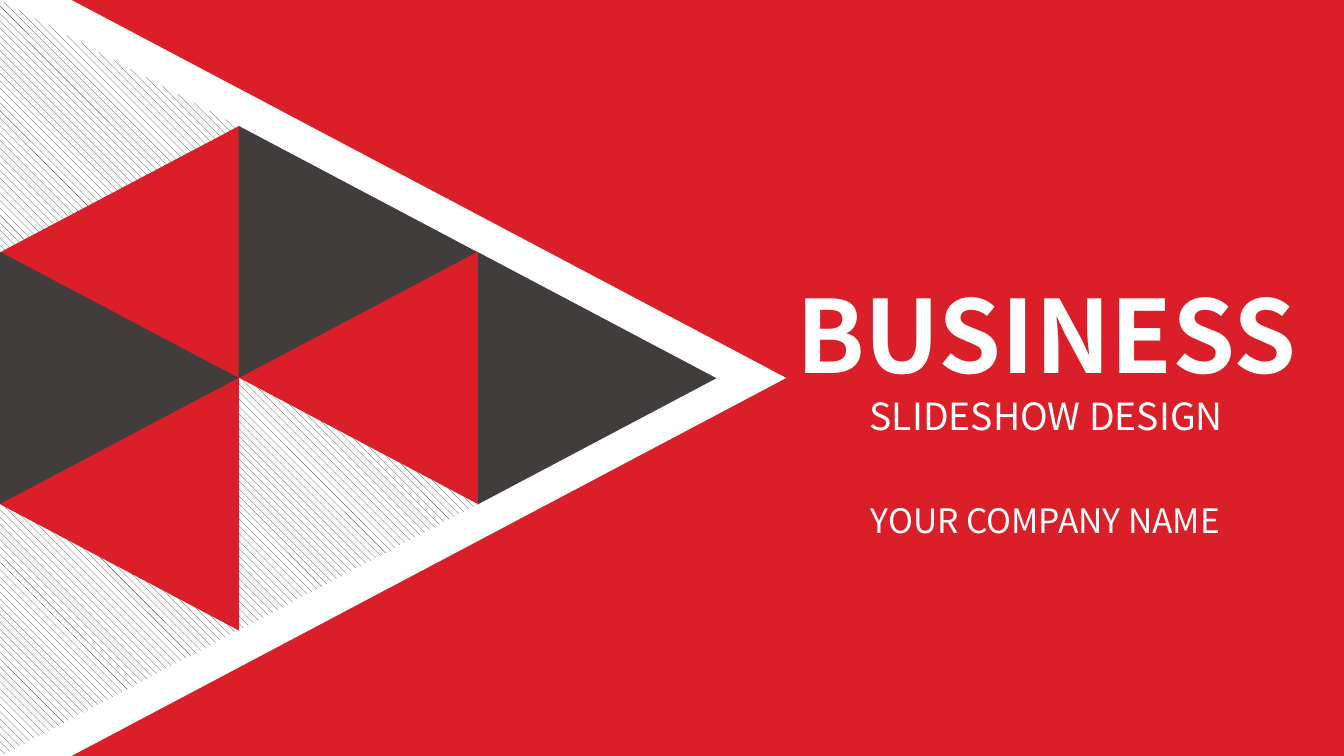
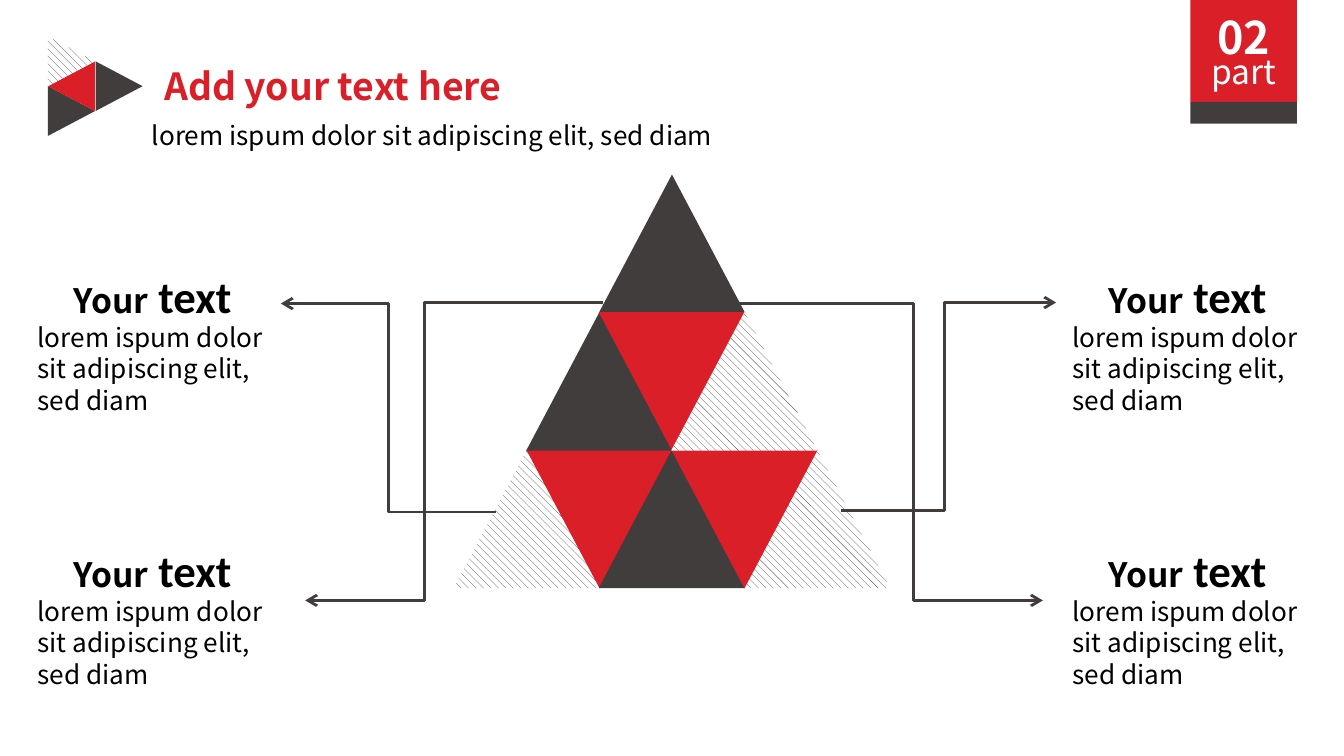
from lxml.etree import SubElement
from pptx import Presentation
from pptx.dml.color import RGBColor
from pptx.enum.dml import MSO_PATTERN
from pptx.enum.shapes import MSO_CONNECTOR, MSO_SHAPE
from pptx.enum.text import MSO_AUTO_SIZE, PP_ALIGN
from pptx.oxml.ns import qn
from pptx.util import Cm, Pt

RED = RGBColor(0xDA, 0x1F, 0x28)
DARK = RGBColor(0x40, 0x3D, 0x3C)
WHITE = RGBColor(0xFF, 0xFF, 0xFF)
BLACK = RGBColor(0x00, 0x00, 0x00)
HATCH = "hatch"

WIDTH, HEIGHT = 25.4, 14.29
UP, RIGHT, DOWN, LEFT = 0, 90, 180, 270
FONT = "Noto Sans CJK SC"
LOREM = "lorem ispum dolor sit adipiscing elit, sed diam"


def text_format(size, bold=False, name=FONT):
    """Return the font values of one run."""
    return {"size": Pt(size), "bold": bold, "name": name}


def add_slide(prs, color):
    """Add a blank slide with a plain background."""
    slide = prs.slides.add_slide(prs.slide_layouts[6])
    slide.background.fill.solid()
    slide.background.fill.fore_color.rgb = color
    return slide


def paint(shape, color):
    """Fill a shape with a colour or the hatching, without outline or shadow."""
    shape.shadow.inherit = False
    shape.line.fill.background()
    if color == HATCH:
        shape.fill.patterned()
        shape.fill.pattern = MSO_PATTERN.WIDE_DOWNWARD_DIAGONAL
        shape.fill.fore_color.rgb = DARK
        shape.fill.back_color.rgb = WHITE
    else:
        shape.fill.solid()
        shape.fill.fore_color.rgb = color


def add_block(shapes, kind, box, color):
    """Add a filled preset shape."""
    block = shapes.add_shape(kind, *map(Cm, box))
    paint(block, color)
    return block


def add_mosaic(shapes, origin, step, size, tiles):
    """Lay triangles on a grid of centres, each pointing its own way."""
    base, height = size
    for column, row, direction, color in tiles:
        left = origin[0] + column * step[0] - base / 2
        top = origin[1] + row * step[1] - height / 2
        tile = add_block(shapes, MSO_SHAPE.ISOSCELES_TRIANGLE,
                         (left, top, base, height), color)
        tile.rotation = direction


def add_text(shapes, box, paragraphs, color, align=PP_ALIGN.CENTER):
    """Add a wrapping text box from paragraphs of (text, format) runs."""
    frame = shapes.add_textbox(*map(Cm, box)).text_frame
    frame.word_wrap = True
    frame.auto_size = MSO_AUTO_SIZE.SHAPE_TO_FIT_TEXT
    for index, runs in enumerate(paragraphs):
        paragraph = frame.add_paragraph() if index else frame.paragraphs[0]
        paragraph.alignment = align
        for text, values in runs:
            run = paragraph.add_run()
            run.text = text
            run.font.color.rgb = color
            for attribute, value in values.items():
                setattr(run.font, attribute, value)


def add_arrow(shapes, start, end, bend):
    """Add an elbow arrow that turns at the given share of its width."""
    arrow = shapes.add_connector(MSO_CONNECTOR.ELBOW, *map(Cm, start + end))
    arrow.line.color.rgb = DARK
    arrow.line.width = Pt(1.5)
    properties = arrow.element.find(qn("p:spPr"))
    SubElement(properties.find(qn("a:ln")), qn("a:tailEnd"), type="arrow")
    adjustments = properties.find(qn("a:prstGeom")).find(qn("a:avLst"))
    SubElement(adjustments, qn("a:gd"), name="adj1",
               fmla=f"val {round(bend * 100000)}")
    SubElement(properties, qn("a:effectLst"))


def add_wedge(shapes):
    """Add the white wedge that points to the cover title."""
    tip, shoulder = 14.86, 1.35
    corners = [(shoulder, 0), (tip, HEIGHT / 2), (shoulder, HEIGHT), (0, HEIGHT)]
    outline = shapes.build_freeform(0, 0)
    outline.add_line_segments([(Cm(x), Cm(y)) for x, y in corners])
    paint(outline.convert_to_shape(), WHITE)


def add_badge(shapes, number):
    """Add the part number badge at the top right."""
    left, width = 22.5, 2.01
    add_block(shapes, MSO_SHAPE.RECTANGLE, (left, 0, width, 1.93), RED)
    add_block(shapes, MSO_SHAPE.RECTANGLE, (left, 1.93, width, 0.41), DARK)
    add_text(shapes, (left, 0.05, width, 1.27),
             [[(number, text_format(24, True))]], WHITE)
    add_text(shapes, (left, 0.84, width, 1.02),
             [[("part", text_format(18))]], WHITE)


def add_heading(shapes, title, subtitle):
    """Add the emblem, the slide title and the line below it."""
    emblem = [(0, 2, RIGHT, DARK), (1, 1, RIGHT, DARK),
              (0, 1, LEFT, RED), (0, 0, RIGHT, HATCH)]
    add_mosaic(shapes.add_group_shape().shapes, (1.35, 1.16), (0.9, 0.47),
               (0.94, 0.89), emblem)
    add_text(shapes, (2.24, 1.07, 8.1, 1.12),
             [[(title, text_format(20, True))]], RED)
    add_text(shapes, (2.62, 2.13, 12.07, 0.86),
             [[(subtitle, text_format(14))]], BLACK, PP_ALIGN.LEFT)


def add_callout(shapes, left, top):
    """Add a two-size caption with its body text."""
    caption = [("Your", text_format(18, True)),
               (" text", text_format(24, True, "Calibri"))]
    add_text(shapes, (left, top, 3.99, 1.27), [caption], BLACK)
    add_text(shapes, (left - 0.43, top + 1, 4.85, 2.64),
             [[(LOREM, text_format(14))]], BLACK, PP_ALIGN.LEFT)


def build_cover(prs):
    """Build the cover slide."""
    shapes = add_slide(prs, RED).shapes
    add_wedge(shapes)
    tiles = [(0, 0, RIGHT, HATCH), (0, 1, LEFT, RED), (0, 2, RIGHT, DARK),
             (1, 1, RIGHT, DARK), (0, 4, RIGHT, HATCH), (2, 2, RIGHT, DARK),
             (0, 3, LEFT, RED), (1, 2, LEFT, RED), (1, 3, RIGHT, HATCH)]
    add_mosaic(shapes, (2.26, 2.39), (4.51, 2.38), (4.78, 4.52), tiles)
    add_text(shapes, (13.44, 5.03, 12.67, 3.43),
             [[("BUSINESS", text_format(54, True))],
              [("SLIDESHOW DESIGN", text_format(20))]], WHITE)
    add_text(shapes, (15.44, 9.32, 8.64, 1.02),
             [[("YOUR COMPANY NAME", text_format(18))]], WHITE)


def build_pyramid(prs):
    """Build the slide with the pyramid and its four callouts."""
    shapes = add_slide(prs, WHITE).shapes
    tiles = [(-2, 2, UP, HATCH), (-1, 2, DOWN, RED), (0, 2, UP, DARK),
             (-1, 1, UP, DARK), (2, 2, UP, HATCH), (0, 0, UP, DARK),
             (1, 2, DOWN, RED), (0, 1, DOWN, RED), (1, 1, UP, HATCH)]
    add_mosaic(shapes.add_group_shape().shapes, (12.7, 4.61), (1.37, 2.6),
               (2.77, 2.62), tiles)
    add_badge(shapes.add_group_shape().shapes, "02")
    arrows = [((9.37, 9.68), (5.31, 5.74), 0.5),
              ((15.9, 9.65), (19.96, 5.72), 0.48),
              ((11.4, 5.72), (5.77, 11.35), 0.6),
              ((13.89, 5.74), (19.71, 11.35), 0.58)]
    for start, end, bend in arrows:
        add_arrow(shapes, start, end, bend)
    add_heading(shapes, "Add your text here", LOREM)
    for left in (0.89, 20.45):
        for top in (4.95, 10.13):
            add_callout(shapes, left, top)


def main():
    """Build and save the presentation."""
    prs = Presentation()
    prs.slide_width, prs.slide_height = Cm(WIDTH), Cm(HEIGHT)
    build_cover(prs)
    build_pyramid(prs)
    prs.save("out.pptx")


if __name__ == "__main__":
    main()
